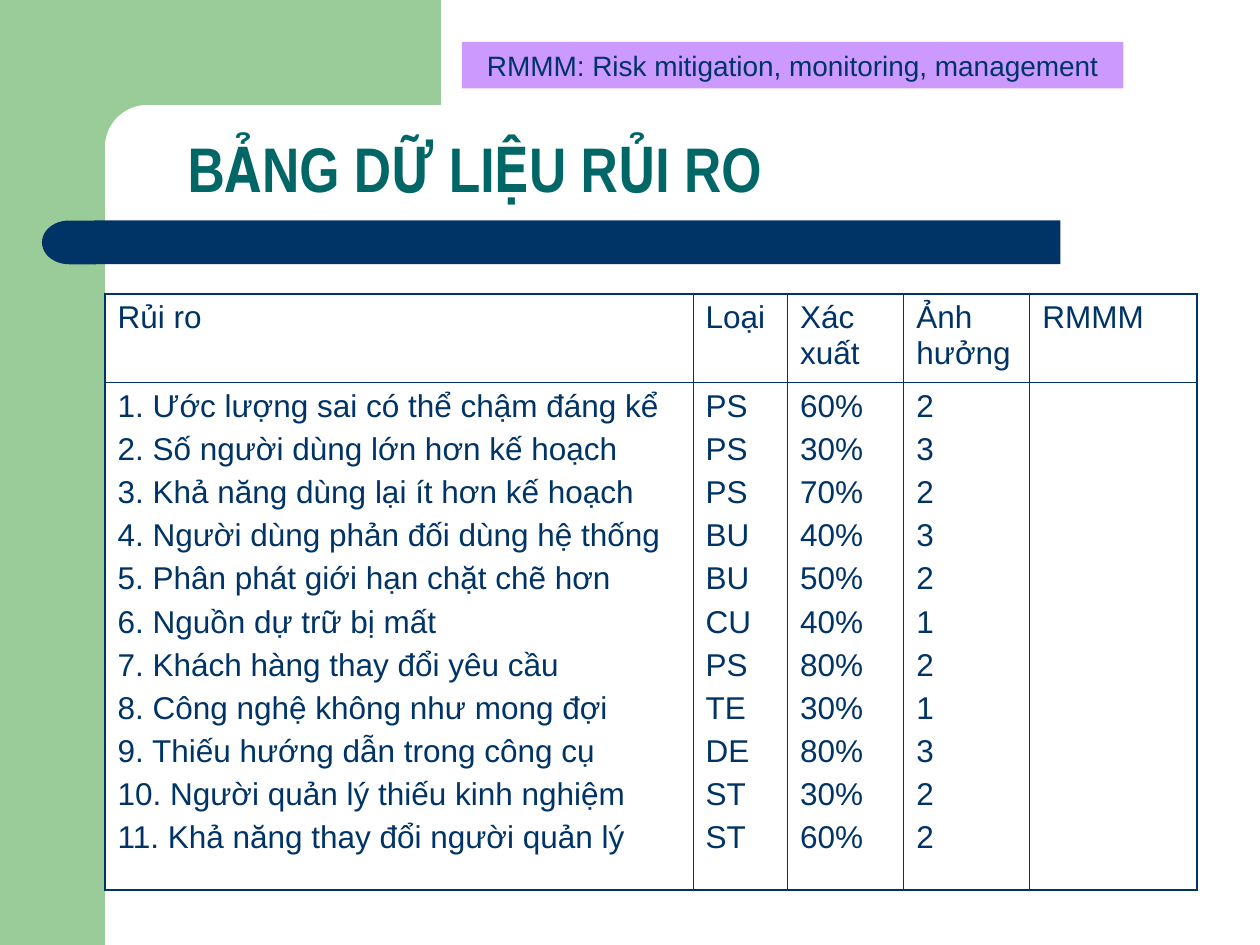
"""Build the risk table slide."""
from dataclasses import dataclass
from math import cos, radians, sin

from lxml.etree import SubElement
from pptx import Presentation
from pptx.dml.color import RGBColor
from pptx.enum.shapes import MSO_SHAPE as Shape
from pptx.enum.text import MSO_ANCHOR as Anchor, MSO_AUTO_SIZE as AutoSize, PP_ALIGN as Align
from pptx.oxml.ns import qn
from pptx.util import Pt

GREEN, NAVY, TEAL, LILAC = "99CC99", "003366", "006666", "CC99FF"
HEADERS = ["Rủi ro", "Loại", "Xác xuất", "Ảnh hưởng", "RMMM"]
COLUMN_WIDTHS = [336, 54, 66.5, 72, 95.5]
ROW_HEIGHTS = [50.5, 290]


@dataclass
class Risk:
    name: str
    kind: str
    chance: str
    impact: str


@dataclass
class Block:
    shape: Shape
    left: float
    top: float
    width: float
    height: float
    fill: str
    rotation: int = 0


RISKS = [
    Risk("Ước lượng sai có thể chậm đáng kể", "PS", "60%", "2"),
    Risk("Số người dùng lớn hơn kế hoạch", "PS", "30%", "3"),
    Risk("Khả năng dùng lại ít hơn kế hoạch", "PS", "70%", "2"),
    Risk("Người dùng phản đối dùng hệ thống", "BU", "40%", "3"),
    Risk("Phân phát giới hạn chặt chẽ hơn", "BU", "50%", "2"),
    Risk("Nguồn dự trữ bị mất", "CU", "40%", "1"),
    Risk("Khách hàng thay đổi yêu cầu", "PS", "80%", "2"),
    Risk("Công nghệ không như mong đợi", "TE", "30%", "1"),
    Risk("Thiếu hướng dẫn trong công cụ", "DE", "80%", "3"),
    Risk("Người quản lý thiếu kinh nghiệm", "ST", "30%", "2"),
    Risk("Khả năng thay đổi người quản lý", "ST", "60%", "2"),
]
BLOCKS = [
    Block(Shape.RECTANGLE, 0, 0, 60, 540, GREEN),
    Block(Shape.RECTANGLE, 54, 126, 552, 25, NAVY),
    Block(Shape.FLOWCHART_DELAY, 24, 126, 31, 25, NAVY, 180),
]


def rgb(value: str) -> RGBColor:
    return RGBColor.from_string(value)


def paint(sp, color: str) -> None:
    sp.shadow.inherit = False
    sp.fill.solid()
    sp.fill.fore_color.rgb = rgb(color)
    sp.line.fill.background()


def draw_block(s, block: Block):
    sp = s.shapes.add_shape(block.shape, Pt(block.left), Pt(block.top),
                            Pt(block.width), Pt(block.height))
    sp.rotation = block.rotation
    paint(sp, block.fill)
    return sp


def draw_corner(s) -> None:
    arc = [(84 - 24 * sin(radians(a)), 84 - 24 * cos(radians(a))) for a in range(0, 91, 5)]
    points = [(252, 0), (252, 60), *arc, (60, 92), (36, 92)]
    builder = s.shapes.build_freeform(Pt(36), 0)
    builder.add_line_segments([(Pt(x), Pt(y)) for x, y in points])
    paint(builder.convert_to_shape(), GREEN)


def write(tf, text: str, *, size: float = 18, font: str = "Arial", color: str = NAVY,
          bold: bool = False, align: Align = Align.LEFT, gap: float = 4.5,
          spacing: float = 1.0) -> None:
    tf.word_wrap = True
    for i, line in enumerate(text.split("\n")):
        p = tf.paragraphs[0] if i == 0 else tf.add_paragraph()
        p.alignment, p.line_spacing = align, spacing
        p.space_before = Pt(gap if i else 0)
        p.font.size = Pt(size)
        if line:
            r = p.add_run()
            r.text = line
            r.font.name, r.font.size, r.font.bold = font, Pt(size), bold
            r.font.color.rgb = rgb(color)


def border(cell, side: str, width: float) -> None:
    ln = SubElement(cell._tc.get_or_add_tcPr(), qn(f"a:{side}"), w=str(Pt(width)))
    SubElement(SubElement(ln, qn("a:solidFill")), qn("a:srgbClr"), val=NAVY)


def draw_table(s) -> None:
    columns = [
        [f"{i}. {risk.name}" for i, risk in enumerate(RISKS, 1)],
        [risk.kind for risk in RISKS],
        [risk.chance for risk in RISKS],
        [risk.impact for risk in RISKS],
        [],
    ]
    rows = [HEADERS, ["\n".join(column) for column in columns]]
    n_rows, n_cols = len(rows), len(HEADERS)
    table = s.shapes.add_table(n_rows, n_cols, Pt(60), Pt(168), Pt(sum(COLUMN_WIDTHS)),
                               Pt(sum(ROW_HEIGHTS))).table
    table.first_row = table.horz_banding = False
    for column, width in zip(table.columns, COLUMN_WIDTHS):
        column.width = Pt(width)
    for i, (row, height) in enumerate(zip(rows, ROW_HEIGHTS)):
        table.rows[i].height = Pt(height)
        for j, text in enumerate(row):
            cell = table.cell(i, j)
            outer = {"lnL": j == 0, "lnR": j == n_cols - 1,
                     "lnT": i == 0, "lnB": i == n_rows - 1}
            for side, is_outer in outer.items():
                border(cell, side, 1.08 if is_outer else 0.45)
            cell.fill.background()
            write(cell.text_frame, text)


def draw_title(s) -> None:
    sp = s.shapes.title
    sp.left, sp.top, sp.width, sp.height = Pt(100), Pt(64), Pt(616), Pt(57.6)
    tf = sp.text_frame
    tf.auto_size, tf.vertical_anchor = AutoSize.NONE, Anchor.BOTTOM
    write(tf, "BẢNG DỮ LIỆU RỦI RO", size=36, font="Arial Narrow", color=TEAL,
          bold=True, spacing=0.9)


def main() -> None:
    prs = Presentation()
    prs.slide_width, prs.slide_height = Pt(720), Pt(540)
    s = prs.slides.add_slide(prs.slide_layouts[5])
    for block in BLOCKS:
        draw_block(s, block)
    draw_corner(s)
    draw_title(s)
    draw_table(s)
    banner = draw_block(s, Block(Shape.RECTANGLE, 264, 24, 378, 26.6, LILAC))
    banner.text_frame.vertical_anchor = Anchor.TOP
    write(banner.text_frame, "RMMM: Risk mitigation, monitoring, management",
          size=16, align=Align.CENTER)
    prs.save("out.pptx")


if __name__ == "__main__":
    main()
